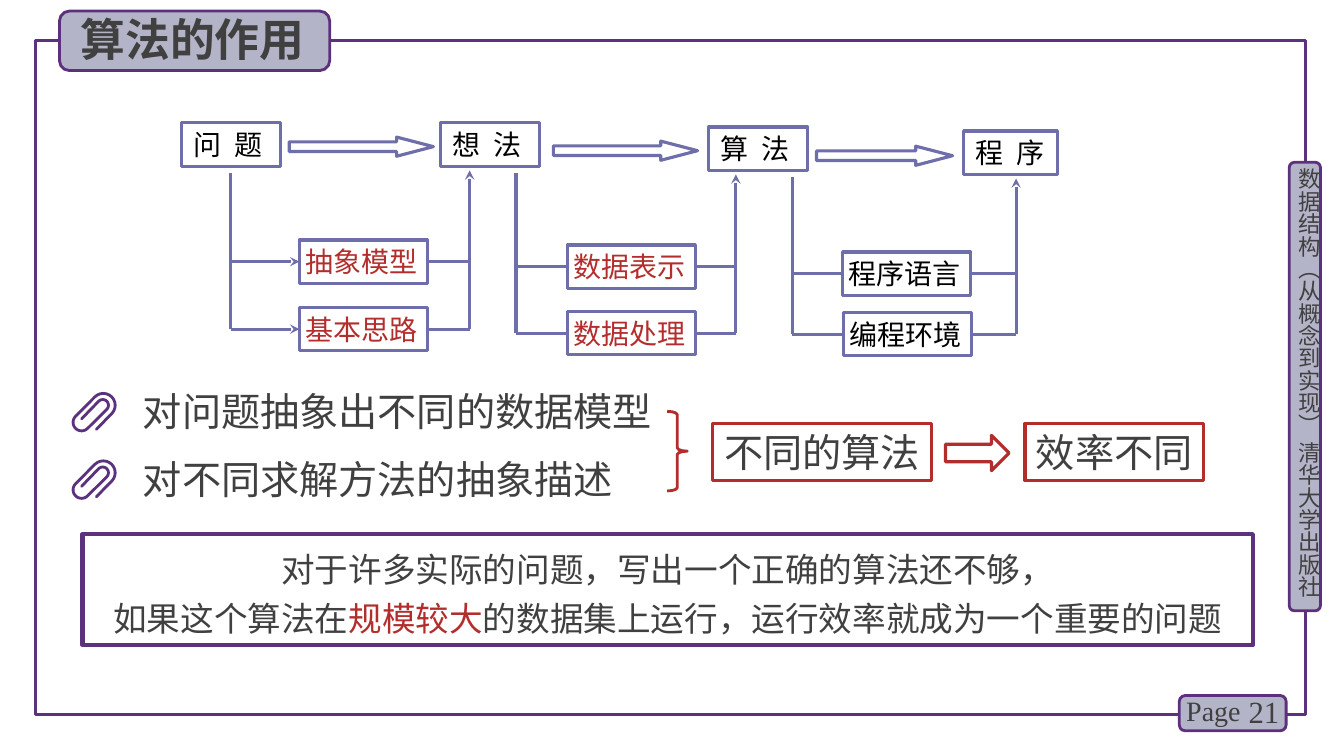
from dataclasses import dataclass
from math import cos, radians, sin
from typing import Optional

from lxml import etree
from pptx import Presentation
from pptx.dml.color import RGBColor
from pptx.enum.shapes import MSO_CONNECTOR, MSO_SHAPE
from pptx.enum.text import MSO_ANCHOR, PP_ALIGN
from pptx.oxml.ns import qn
from pptx.util import Pt

RECT, ROUND = MSO_SHAPE.RECTANGLE, MSO_SHAPE.ROUNDED_RECTANGLE
ARROW, BRACE = MSO_SHAPE.RIGHT_ARROW, MSO_SHAPE.RIGHT_BRACE
STRAIGHT = MSO_CONNECTOR.STRAIGHT
TOP, MIDDLE = MSO_ANCHOR.TOP, MSO_ANCHOR.MIDDLE
LEFT, CENTER, RIGHT = PP_ALIGN.LEFT, PP_ALIGN.CENTER, PP_ALIGN.RIGHT
SIDE_LEFT, SIDE_BOTTOM, SIDE_RIGHT = 1, 2, 3

SANS, SERIF = "Noto Sans CJK SC", "Times New Roman"
PURPLE, TAB_LINE, TAB_FILL = "5A327D", "5C307D", "B4B4C8"
BLUE, RED, GREY, BLACK = "6E6EAA", "B42D2D", "404040", "000000"
BOX_H = 31


@dataclass
class Style:
    size: float
    color: str = GREY
    font: str = SANS
    bold: bool = False
    align: PP_ALIGN = LEFT
    anchor: MSO_ANCHOR = TOP
    insets: tuple = (7.2, 3.6, 7.2, 3.6)
    leading: Optional[float] = None
    tracking: float = 0


@dataclass
class Block:
    kind: MSO_SHAPE
    box: tuple
    line: str
    width: float
    fill: Optional[str] = None
    adj: tuple = ()


@dataclass
class Label:
    text: str
    box: tuple
    style: Style


@dataclass
class Stage:
    name: str
    x: float
    y: float
    w: float


@dataclass
class Step:
    terms: tuple
    spots: tuple
    color: str
    stem_x: float
    rise_x: float
    arrow: tuple
    head: bool = False


TABS = [
    Block(RECT, (25.2, 28.8, 907.2, 481.7), PURPLE, 2.25),
    Block(ROUND, (920.9, 115.9, 22.3, 320.4), TAB_LINE, 2, TAB_FILL),
    Block(ROUND, (842.4, 496.8, 76.3, 25.2), TAB_LINE, 2, TAB_FILL),
    Block(ROUND, (42.5, 7.9, 193, 42.5), TAB_LINE, 2, TAB_FILL),
]
LABELS = [
    Label("21", (878.4, 493.9, 42.5, 28.8), Style(22, font=SERIF, align=RIGHT, anchor=MIDDLE)),
    Label("Page", (840.2, 491.8, 56.2, 31.7), Style(20, font=SERIF)),
    Label("算法的作用", (50.4, 5, 182.9, 46.1), Style(32, bold=True)),
]
PRESS = Label("数据结构（从概念到实现） 清华大学出版社", (925.2, 120.2, 19.4, 323.3),
              Style(16, insets=(0, 0, 0, 0)))
STAGES = [
    Stage("问 题", 129.6, 87.8, 70.6), Stage("想 法", 314.6, 87.8, 70.6),
    Stage("算 法", 506.2, 90.7, 70.6), Stage("程 序", 688.3, 93.6, 67),
]
STEPS = [
    Step(("抽象模型", "基本思路"), ((213.8, 171.4), (213.8, 219.6)), RED,
         164.9, 335.5, (206.6, 97.9, 103, 13.7), True),
    Step(("数据表示", "数据处理"), ((405.4, 175), (405.4, 222.5)), RED,
         368.6, 525.6, (395.3, 100.8, 103, 13.7)),
    Step(("程序语言", "编程环境"), ((601.9, 180), (602.6, 223.2)), BLACK,
         565.9, 725.8, (583.2, 104.4, 97.2, 13.7)),
]
POINTS = ["对问题抽象出不同的数据模型", "对不同求解方法的抽象描述"]
EFFECTS = [
    Block(BRACE, (476.6, 293.8, 14.4, 56.9), RED, 2, adj=(0.168, 0.5)),
    Block(ARROW, (675.4, 311, 45.4, 25.2), RED, 2.25),
]
RESULTS = [("不同的算法", 509, 156.2), ("效率不同", 732.2, 127.4)]
SUMMARY = [
    [("对于许多实际的问题，写出一个正确的算法还不够，", GREY)],
    [("如果这个算法在", GREY), ("规模较大", RED),
     ("的数据集上运行，运行效率就成为一个重要的问题", GREY)],
]
CLIP_ARCS = [(23.4, 9.4, 8.5), (7.9, 21.6, 6.1), (23, 9.4, 4.1)]


def rgb(value: str) -> RGBColor:
    return RGBColor.from_string(value)


def set_all(obj, values: dict) -> None:
    for key, value in values.items():
        setattr(obj, key, value)


def write(sp, lines: list, style: Style) -> None:
    tf = sp.text_frame
    left, top, right, bottom = map(Pt, style.insets)
    set_all(tf, dict(word_wrap=True, vertical_anchor=style.anchor, margin_left=left,
                     margin_top=top, margin_right=right, margin_bottom=bottom))
    for i, runs in enumerate(lines):
        p = tf.add_paragraph() if i else tf.paragraphs[0]
        p.alignment = style.align
        if style.leading:
            p.line_spacing = Pt(style.leading)
        for text, color in runs:
            r = p.add_run()
            r.text = text
            r.font.color.rgb = rgb(color)
            set_all(r.font, dict(size=Pt(style.size), name=style.font, bold=style.bold))
            rpr = r.font._element
            etree.SubElement(rpr, qn("a:ea")).set("typeface", style.font)
            if style.tracking:
                rpr.set("spc", str(round(style.tracking * 100)))


def draw_block(s, b: Block):
    sp = s.shapes.add_shape(b.kind, *map(Pt, b.box))
    sp.shadow.inherit = False
    if b.fill:
        sp.fill.solid()
        sp.fill.fore_color.rgb = rgb(b.fill)
    else:
        sp.fill.background()
    sp.line.color.rgb = rgb(b.line)
    sp.line.width = Pt(b.width)
    for i, value in enumerate(b.adj):
        sp.adjustments[i] = value
    return sp


def draw_label(s, label: Label):
    sp = s.shapes.add_textbox(*map(Pt, label.box))
    write(sp, [[(label.text, label.style.color)]], label.style)
    return sp


def draw_line(s, x1: float, y1: float, x2: float, y2: float, head: bool = False):
    c = s.shapes.add_connector(STRAIGHT, Pt(x1), Pt(y1), Pt(x2), Pt(y2))
    c.line.color.rgb = rgb(BLUE)
    c.line.width = Pt(2.25)
    if head:
        etree.SubElement(c.line._get_or_add_ln(), qn("a:tailEnd")).set("type", "stealth")
    etree.SubElement(c._element.spPr, qn("a:effectLst"))
    return c


def draw_node(s, text: str, box: tuple, color: str, inset: float = 4.3, tracking: float = 0):
    sp = draw_block(s, Block(RECT, box, BLUE, 2.25))
    write(sp, [[(text, color)]], Style(20, anchor=MIDDLE, insets=(inset, 0.7, 0, 0.7),
                                       tracking=tracking))
    return sp


def draw_step(s, step: Step, stage: Stage, target: Stage, start) -> None:
    draw_block(s, Block(ARROW, step.arrow, BLUE, 2.25, adj=(0.5, 1.92)))
    foot = step.spots[-1][1] + BOX_H / 2
    stem = draw_line(s, step.stem_x, stage.y + BOX_H + 5, step.stem_x, foot)
    if step.stem_x == stage.x + stage.w / 2:
        stem.begin_connect(start, SIDE_BOTTOM)
    draw_line(s, step.rise_x, foot, step.rise_x, target.y + BOX_H + 2.9, True)
    for term, (x, y) in zip(step.terms, step.spots):
        sp = draw_node(s, term, (x, y, 91.4, BOX_H), step.color)
        mid = y + BOX_H / 2
        draw_line(s, step.stem_x, mid, x, mid, step.head).end_connect(sp, SIDE_LEFT)
        draw_line(s, x + 91.4, mid, step.rise_x, mid).begin_connect(sp, SIDE_RIGHT)


def draw_clip(s, x: float, y: float) -> None:
    pts = [(18.4, 26.6)]
    for cx, cy, radius in CLIP_ARCS:
        first = 225 if cx < 10 else 45
        angles = [radians(first - 15 * i) for i in range(13)]
        pts += [(cx + radius * cos(a), cy + radius * sin(a)) for a in angles]
    pts.append((7.9, 19.1))
    pts = [(Pt(x + px), Pt(y + py)) for px, py in pts]
    fb = s.shapes.build_freeform(*pts[0])
    fb.add_line_segments(pts[1:], close=False)
    sp = fb.convert_to_shape()
    sp.shadow.inherit = False
    sp.fill.background()
    sp.line.color.rgb = rgb(PURPLE)
    sp.line.width = Pt(2)
    sp.line._get_or_add_ln().set("cap", "rnd")


def main() -> None:
    prs = Presentation()
    set_all(prs, dict(slide_width=Pt(960), slide_height=Pt(540)))
    s = prs.slides.add_slide(prs.slide_layouts[6])
    for tab in TABS:
        draw_block(s, tab)
    for label in LABELS:
        draw_label(s, label)
    press = draw_label(s, PRESS)
    press.text_frame._txBody.bodyPr.set("vert", "eaVert")
    sp = draw_block(s, Block(RECT, (59, 381.6, 835.9, 79.2), PURPLE, 3))
    write(sp, SUMMARY, Style(24, align=CENTER, anchor=MIDDLE, leading=35))
    nodes = [draw_node(s, g.name, (g.x, g.y, g.w, BOX_H), BLACK, 8.8, 2.25) for g in STAGES]
    for step, stage, target, start in zip(STEPS, STAGES, STAGES[1:], nodes):
        draw_step(s, step, stage, target, start)
    for i, text in enumerate(POINTS):
        draw_clip(s, 50.4, 280.1 + 48.2 * i)
        draw_label(s, Label(text, (95, 272.9 + 48.9 * i, 399.6, 41), Style(28)))
    for effect in EFFECTS:
        draw_block(s, effect)
    for text, x, w in RESULTS:
        sp = draw_block(s, Block(RECT, (x, 302.4, w, 41), RED, 2.25))
        write(sp, [[(text, GREY)]], Style(28, align=CENTER))
    prs.save("out.pptx")


if __name__ == "__main__":
    main()
